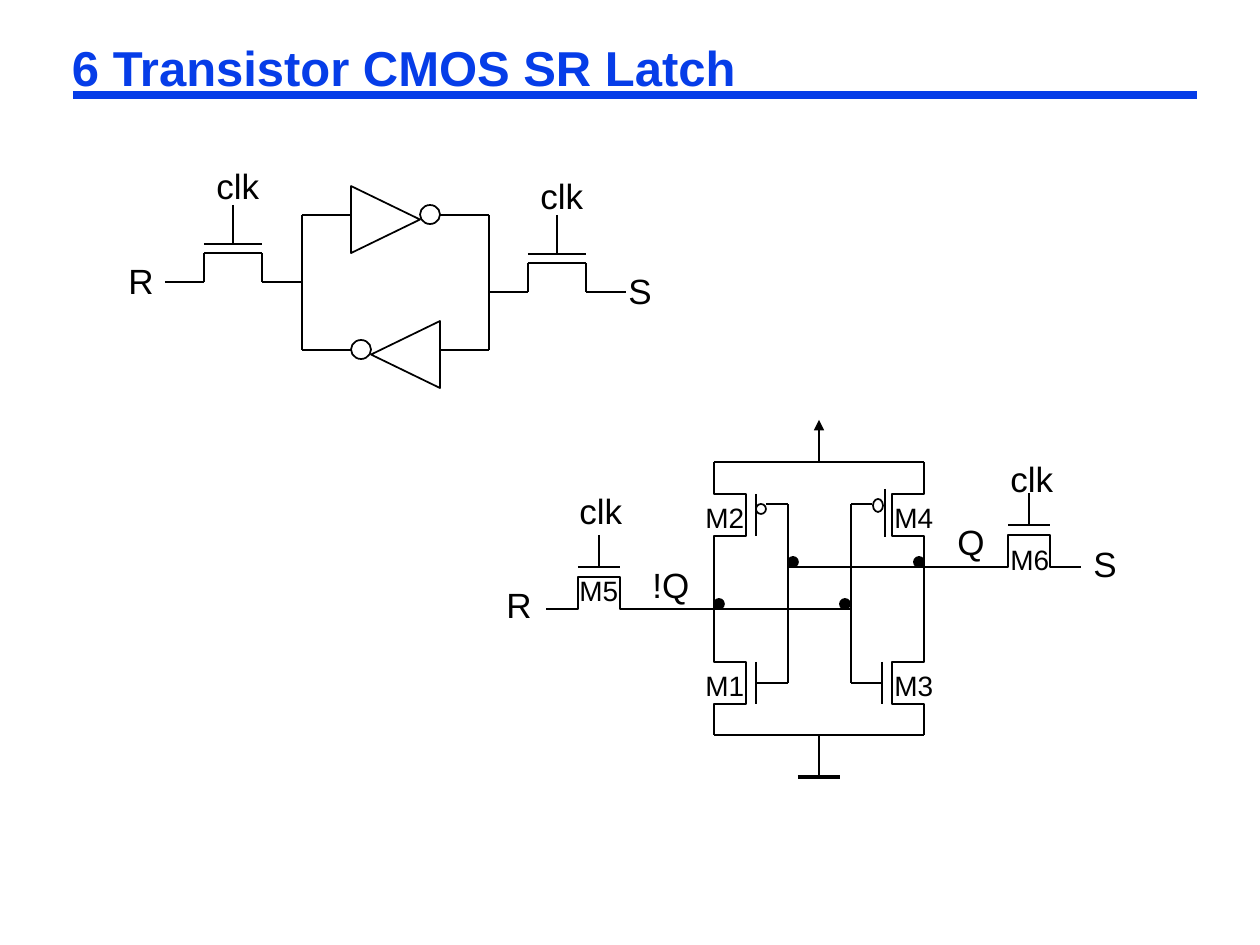
from typing import NamedTuple

from lxml import etree
from pptx import Presentation
from pptx.dml.color import RGBColor
from pptx.enum import shapes, text
from pptx.oxml.ns import qn
from pptx.util import Emu, Pt

SCALE = 914400 / 126
COLORS = {"title": "063DE8", "ink": "000000"}
FONT = "Arial"


class Wire(NamedTuple):
    x1: int
    y1: int
    x2: int
    y2: int
    color: str = "ink"
    width: float = 1
    arrow: bool = False


class Oval(NamedTuple):
    x: int
    y: int
    w: int
    h: int
    filled: bool = False


class Inverter(NamedTuple):
    x: int
    y: int
    rotation: int


class Label(NamedTuple):
    x: int
    y: int
    w: int
    words: str
    size: int = 20


class Channel(NamedTuple):
    """Transistor outline: start point, unit step along it, unit step to the gate."""
    x: int
    y: int
    along: tuple[int, int]
    gate: tuple[int, int]


def px(v: float) -> Emu:
    return Emu(round(v * SCALE))


def rgb(name: str) -> RGBColor:
    return RGBColor.from_string(COLORS[name])


def style(sp, filled: bool = False) -> None:
    sp.shadow.inherit = False
    if filled:
        sp.fill.solid()
        sp.fill.fore_color.rgb = rgb("ink")
    else:
        sp.fill.background()
    sp.line.color.rgb = rgb("ink")
    sp.line.width = Pt(1)


def draw_wire(s, w: Wire) -> None:
    c = s.shapes.add_connector(shapes.MSO_CONNECTOR.STRAIGHT,
                               px(w.x1), px(w.y1), px(w.x2), px(w.y2))
    c.line.color.rgb = rgb(w.color)
    c.line.width = Pt(w.width)
    if w.arrow:
        etree.SubElement(c.line._get_or_add_ln(), qn("a:headEnd"), type="triangle")
    etree.SubElement(c._element.spPr, qn("a:effectLst"))


def draw_oval(s, o: Oval) -> None:
    sp = s.shapes.add_shape(shapes.MSO_SHAPE.OVAL, px(o.x), px(o.y), px(o.w), px(o.h))
    style(sp, o.filled)


def draw_inverter(s, i: Inverter) -> None:
    sp = s.shapes.add_shape(shapes.MSO_SHAPE.ISOSCELES_TRIANGLE,
                            px(i.x), px(i.y), px(67), px(69))
    sp.rotation = i.rotation
    style(sp)


def draw_channel(s, c: Channel) -> None:
    (ax, ay), (gx, gy) = c.along, c.gate
    steps = [(0, 0), (32, 0), (32, 32), (74, 32), (74, 0), (105, 0)]
    pts = [(c.x + a * ax + g * gx, c.y + a * ay + g * gy) for a, g in steps]
    fb = s.shapes.build_freeform(*pts[0], scale=SCALE)
    fb.add_line_segments(pts[1:], close=False)
    style(fb.convert_to_shape())


def add_run(p, words: str, size: int, color: str, bold: bool = False) -> None:
    r = p.add_run()
    r.text = words
    r.font.name, r.font.size, r.font.bold = FONT, Pt(size), bold
    r.font.color.rgb = rgb(color)


def draw_label(s, b: Label) -> None:
    tf = s.shapes.add_textbox(px(b.x), px(b.y), px(b.w),
                              px(54 if b.size == 20 else 47)).text_frame
    tf.word_wrap = False
    tf.auto_size = text.MSO_AUTO_SIZE.SHAPE_TO_FIT_TEXT
    add_run(tf.paragraphs[0], b.words, b.size, "ink")


def pass_gate(x: int, y: int) -> list[Wire]:
    """Pass transistor of the logic diagram, from its left terminal."""
    l, r, mid, top = x + 39, x + 97, x + 68, y - 29
    return [Wire(x, y, l, y), Wire(l, top, l, y), Wire(r, top, r, y),
            Wire(l, top, r, top), Wire(l, top - 9, r, top - 9),
            Wire(r, y, x + 137, y), Wire(mid, top - 48, mid, top - 9)]


prs = Presentation()
prs.slide_width, prs.slide_height = px(1260), px(945)
s = prs.slides.add_slide(prs.slide_layouts[5])

# Title and rule
draw_wire(s, Wire(73, 95, 1197, 95, "title", 4.5))
title = s.shapes.title
title.left, title.top, title.width, title.height = px(63), px(42), px(1092), px(58)
tf = title.text_frame
tf.margin_left = tf.margin_right = px(9)
tf.margin_top = tf.margin_bottom = px(4)
tf.vertical_anchor = text.MSO_ANCHOR.TOP
tf.auto_size = text.MSO_AUTO_SIZE.SHAPE_TO_FIT_TEXT
p = tf.paragraphs[0]
p.alignment = text.PP_ALIGN.LEFT
p.line_spacing = 0.87
add_run(p, "6 Transistor CMOS SR Latch", 28, "title", True)

# Logic diagram: inverter loop with two pass transistors
loop = [Wire(a, y, b, y) for y in (215, 350) for a, b in ((302, 351), (440, 489))]
loop += [Wire(x, 215, x, 350) for x in (302, 489)]
for w in pass_gate(165, 282) + pass_gate(489, 292) + loop:
    draw_wire(s, w)
for i in (Inverter(352, 185, 90), Inverter(372, 320, 270)):
    draw_inverter(s, i)

# Transistor circuit: channels M2, M1, M4, M3, M5, M6
LEFT, RIGHT, MID = 714, 924, 819
for y in (462, 630):
    draw_channel(s, Channel(LEFT, y, (0, 1), (1, 0)))
    draw_channel(s, Channel(RIGHT, y, (0, 1), (-1, 0)))
for x, y in ((546, 609), (976, 567)):
    draw_channel(s, Channel(x, y, (1, 0), (0, -1)))

# Supply, ground, gates and feedback wires
wires = [Wire(LEFT, y, RIGHT, y) for y in (462, 735)]
wires += [Wire(x, 557, x, 640) for x in (LEFT, RIGHT)]
wires += [Wire(x, 662, x, 704) for x in (756, 882)]
wires += [Wire(x, 504, x, 683) for x in (788, 851)]
wires += [Wire(a, 683, b, 683) for a, b in ((756, 788), (851, 882))]
wires += [Wire(a, 504, b, 504) for a, b in ((766, 788), (851, 872))]
wires += [Wire(756, 494, 756, 536), Wire(885, 489, 885, 537),
          Wire(MID, 420, MID, 462, arrow=True), Wire(MID, 735, MID, 777),
          Wire(798, 777, 840, 777, width=2.25),
          Wire(620, 609, 851, 609), Wire(788, 567, 1008, 567)]
for x, y in ((578, 567), (1008, 525)):
    wires += [Wire(x, y, x + 42, y), Wire(x + 21, y - 32, x + 21, y)]
for w in wires:
    draw_wire(s, w)

# Inversion bubbles and junction dots
bubbles = [Oval(420, 205, 20, 19), Oval(351, 340, 20, 19),
           Oval(756, 504, 10, 10), Oval(873, 499, 10, 13)]
dots = [Oval(x, y, 10, 10, True)
        for x, y in ((714, 599), (840, 599), (914, 557), (788, 557))]
for o in bubbles + dots:
    draw_oval(s, o)

# Labels
clocks = [Label(x, y, 68, "clk")
          for x, y in ((528, 168), (204, 158), (567, 483), (998, 451))]
names = [Label(x, y, 64, f"M{n}", 16) for n, (x, y) in enumerate(
    ((693, 662), (693, 494), (882, 662), (882, 494), (567, 567), (998, 536)), 1)]
signals = [Label(616, 263, 49, "S"), Label(116, 253, 50, "R"),
           Label(1081, 536, 49, "S"), Label(494, 577, 50, "R"),
           Label(640, 557, 62, "!Q"), Label(945, 514, 53, "Q")]
for b in clocks + names + signals:
    draw_label(s, b)

prs.save("out.pptx")
